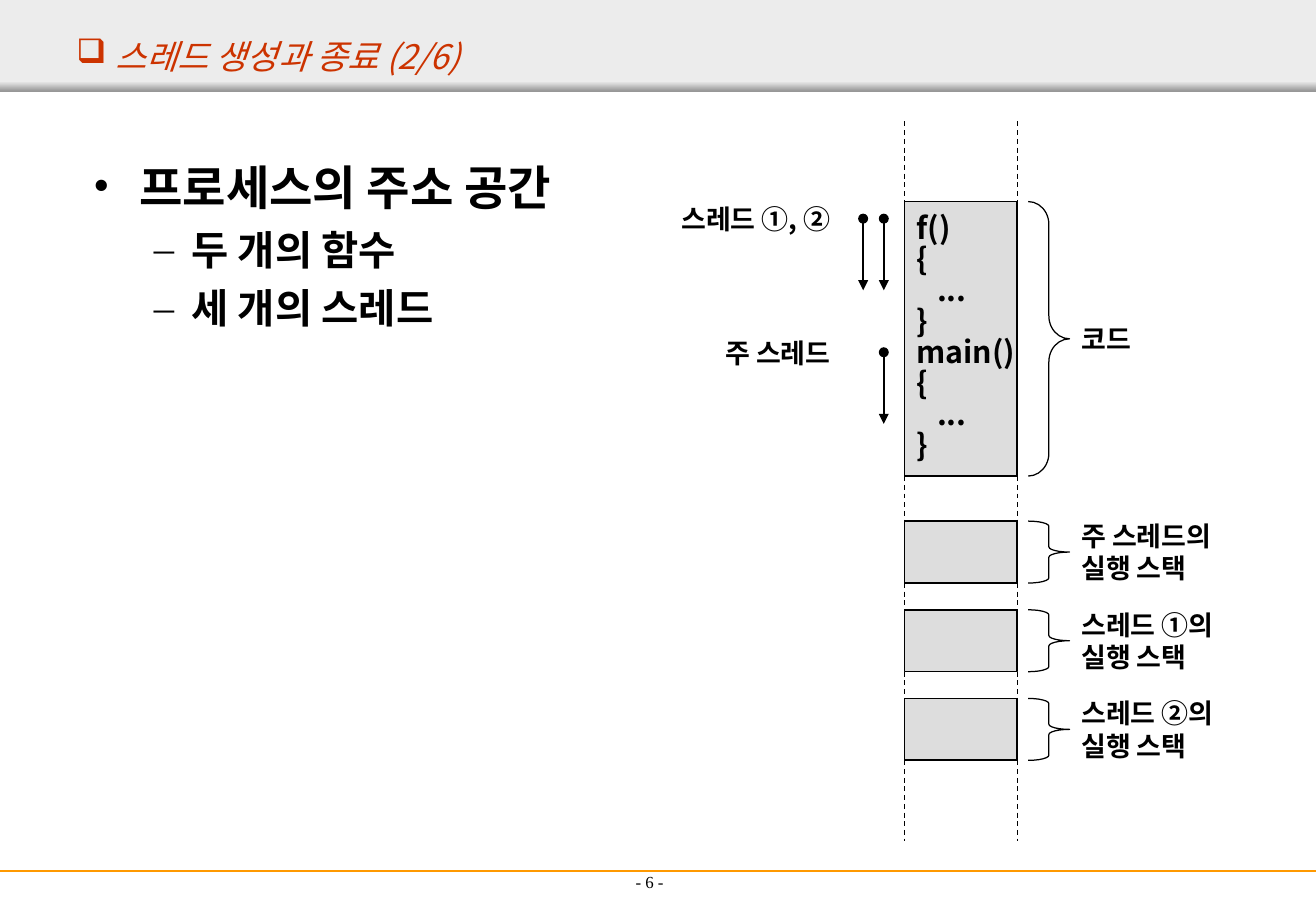
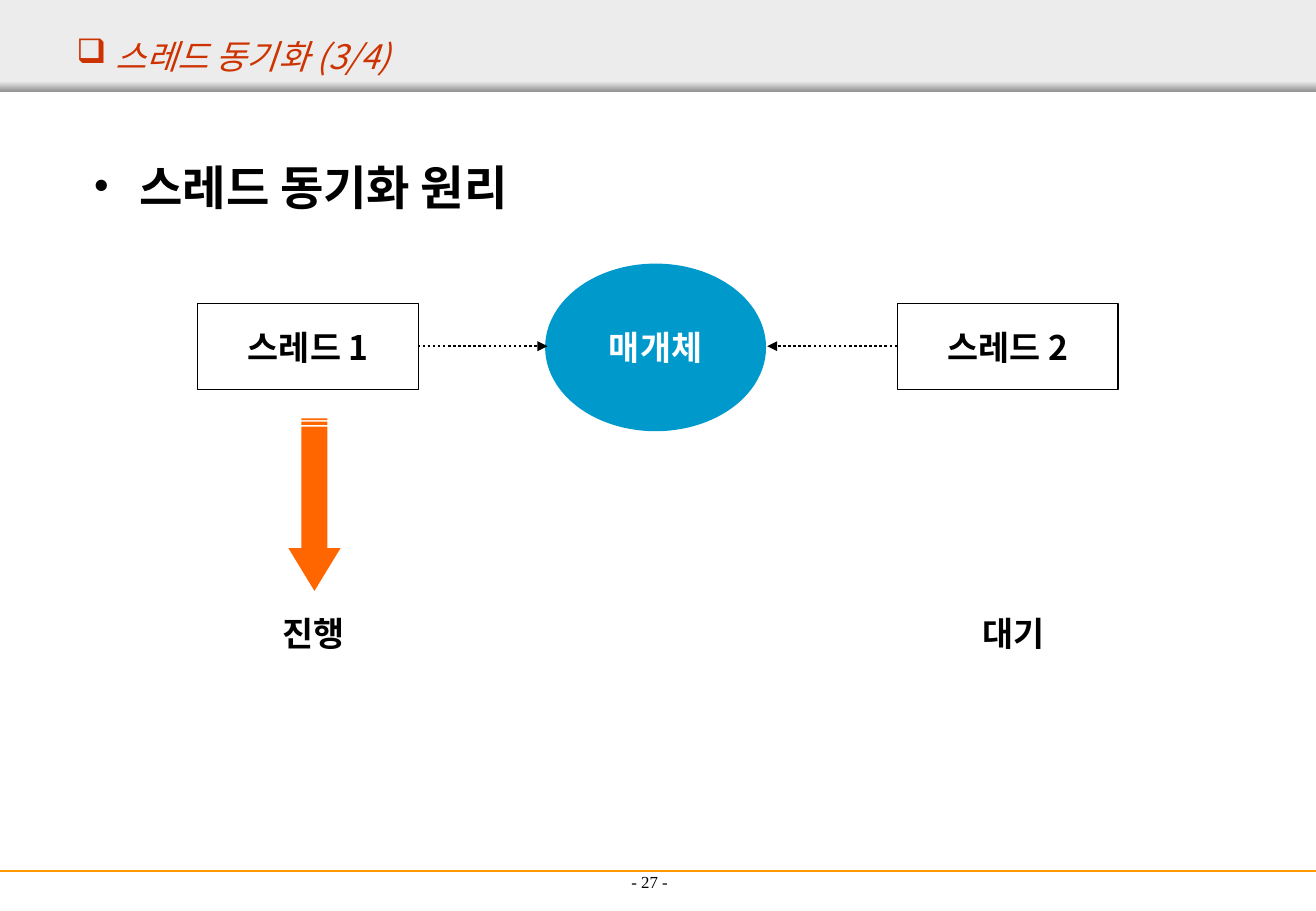
import pptx
import pptx.dml.color
import pptx.enum.dml
import pptx.enum.shapes
import pptx.enum.text
import pptx.oxml
import pptx.oxml.ns
import pptx.util

Inches = pptx.util.Inches
Pt = pptx.util.Pt
SHAPE = pptx.enum.shapes.MSO_SHAPE
ALIGN = pptx.enum.text.PP_ALIGN
ANCHOR = pptx.enum.text.MSO_ANCHOR
DASH = pptx.enum.dml.MSO_LINE

COLORS = {
    "black": "000000",
    "white": "FFFFFF",
    "title": "CC3300",
    "band": "ECECEC",
    "band_edge": "979797",
    "rule": "FF9900",
    "memory": "DDDDDD",
    "mediator": "0099CC",
    "progress": "FF6600",
}
SANS = "Noto Sans CJK KR"
SERIF = "Times New Roman"
WIDTH, HEIGHT = 10.84, 7.5

TITLE = {"size": Pt(20), "italic": True, "name": SANS}
FOOTER = {"size": Pt(10), "name": SERIF}
CODE = {"size": Pt(18), "bold": True, "name": SANS}
LABEL = {"size": Pt(16), "bold": True, "name": SANS}
NODE = {"size": Pt(20), "bold": True, "name": SANS}
BODY = [
    {"font": {"size": Pt(28), "bold": True, "name": SANS},
     "bullet": "•", "margin": 0.38, "hang": 0.38, "before": 0},
    {"font": {"size": Pt(24), "bold": True, "name": SANS},
     "bullet": "–", "margin": 0.81, "hang": 0.31, "before": 6},
]


def rgb(name):
    return pptx.dml.color.RGBColor.from_string(COLORS[name])


def apply(obj, fmt):
    for key, value in fmt.items():
        setattr(obj, key, value)


def add_xml(parent, tag, **attrs):
    el = pptx.oxml.parse_xml(f"<a:{tag} {pptx.oxml.ns.nsdecls('a')}/>")
    for key, value in attrs.items():
        el.set(key, str(value))
    parent.append(el)
    return el


def set_bullet(p, char, margin, hang, color, font=None):
    pPr = p._p.get_or_add_pPr()
    pPr.set("marL", str(Inches(margin)))
    pPr.set("indent", str(-Inches(hang)))
    add_xml(add_xml(pPr, "buClr"), "srgbClr", val=COLORS[color])
    if font:
        add_xml(pPr, "buFont", typeface=font)
    add_xml(pPr, "buChar", char=char)


def add_run(p, text, font, color):
    r = p.add_run()
    r.text = text
    apply(r.font, font)
    r.font.color.rgb = rgb(color)
    add_xml(r._r.get_or_add_rPr(), "ea", typeface=font["name"])


def set_text(sp, lines, font, color="black", align=ALIGN.CENTER,
             spacing=None, **frame):
    tf = sp.text_frame
    apply(tf, {"word_wrap": True, "vertical_anchor": ANCHOR.MIDDLE, **frame})
    for i, line in enumerate(lines):
        p = tf.add_paragraph() if i else tf.paragraphs[0]
        apply(p, {"alignment": align, "line_spacing": spacing})
        add_run(p, line, font, color)


def add_box(s, *at):
    return s.shapes.add_textbox(*map(Inches, at))


def add_label(s, at, lines, font, **options):
    sp = add_box(s, *at)
    set_text(sp, lines, font, **options)
    return sp


def add_shape(s, kind, at, fill=None, line=None, weight=0.75):
    sp = s.shapes.add_shape(kind, *map(Inches, at))
    sp.shadow.inherit = False
    if fill:
        sp.fill.solid()
        sp.fill.fore_color.rgb = rgb(fill)
    else:
        sp.fill.background()
    if line:
        sp.line.color.rgb = rgb(line)
        sp.line.width = Pt(weight)
    else:
        sp.line.fill.background()
    return sp


def add_line(s, start, end, weight, color="black", dash=None, head=None, tail=None):
    c = s.shapes.add_connector(pptx.enum.shapes.MSO_CONNECTOR.STRAIGHT,
                               *map(Inches, (*start, *end)))
    c.line.color.rgb = rgb(color)
    c.line.width = Pt(weight)
    if dash:
        c.line.dash_style = dash
    ln = c.line._get_or_add_ln()
    for tag, kind in (("headEnd", head), ("tailEnd", tail)):
        if kind:
            add_xml(ln, tag, type=kind)
    add_xml(c._element.spPr, "effectLst")


def add_brace(s, x, y, w, h):
    sp = add_shape(s, SHAPE.RIGHT_BRACE, (x, y, w, h), line="black")
    sp.adjustments[0] = h / 12 / min(w, h)


def add_body(s, items):
    tf = add_box(s, 0.67, 1.25, 9.5, 5.44).text_frame
    tf.word_wrap = True
    for i, (level, text) in enumerate(items):
        style = BODY[level]
        p = tf.add_paragraph() if i else tf.paragraphs[0]
        set_bullet(p, style["bullet"], style["margin"], style["hang"], "black", SERIF)
        apply(p, {"level": level, "space_before": Pt(style["before"])})
        add_run(p, text, style["font"], "black")


def add_slide(prs, title, number):
    s = prs.slides.add_slide(prs.slide_layouts[6])
    add_shape(s, SHAPE.RECTANGLE, (0, 0, WIDTH, 0.75), "band")
    edge = add_shape(s, SHAPE.RECTANGLE, (0, 0.67, WIDTH, 0.08))
    edge.fill.gradient()
    edge.fill.gradient_angle = 270
    for stop, color in zip(edge.fill.gradient_stops, ("band", "band_edge")):
        stop.color.rgb = rgb(color)
    add_line(s, (0, 7.17), (WIDTH, 7.17), 1.5, "rule")
    add_label(s, (3.69, 6.89, 3.32, 0.5), [f"- {number} -"], FOOTER,
              vertical_anchor=ANCHOR.BOTTOM)
    sp = add_label(s, (0.53, 0.25, 10.31, 0.42), [title], TITLE,
                   color="title", align=ALIGN.LEFT)
    set_bullet(sp.text_frame.paragraphs[0], "❑", 0.32, 0.32, "title")
    return s


def build_address_space(prs):
    s = add_slide(prs, "스레드 생성과 종료 (2/6)", 6)
    add_body(s, [(0, "프로세스의 주소 공간"), (1, "두 개의 함수"), (1, "세 개의 스레드")])

    left, width = 7.45, 0.93
    code = ["f()", "{", "   ...", "}", "main()", "{", "   ...", "}"]
    owners = ["주 스레드의", "스레드 ①의", "스레드 ②의"]
    blocks = [(1.66, 2.26, ["코드"], code)]
    blocks += [(4.29 + 0.73 * i, 0.51, [owner, "실행 스택"], [])
               for i, owner in enumerate(owners)]

    gap_top = 1
    for top, height, label, content in blocks:
        sp = add_shape(s, SHAPE.RECTANGLE, (left, top, width, height),
                       "memory", "black", 1)
        if content:
            set_text(sp, content, CODE, align=ALIGN.LEFT, spacing=0.85,
                     word_wrap=False, margin_right=0)
        add_brace(s, 8.47, top, 0.34, height)
        add_label(s, (8.81, top + height / 2 - 0.33, 1.44, 0.66), label, LABEL,
                  align=ALIGN.LEFT, margin_right=0)
        add_rails(s, left, width, gap_top, top)
        gap_top = top + height
    add_rails(s, left, width, gap_top, 6.92)

    for y, name, arrows in ((1.8, "스레드 ①, ②", (7.11, 7.28)),
                            (2.9, "주 스레드", (7.28,))):
        add_label(s, (5.5, y - 0.29, 1.44, 0.58), [name], LABEL,
                  align=ALIGN.RIGHT, margin_left=0)
        for x in arrows:
            add_line(s, (x, y), (x, y + 0.59), 1.5, head="oval", tail="triangle")


def add_rails(s, left, width, top, bottom):
    for x in (left, left + width):
        add_line(s, (x, top), (x, bottom), 0.75, dash=DASH.DASH)


def build_synchronization(prs):
    s = add_slide(prs, "스레드 동기화 (3/4)", 27)
    add_body(s, [(0, "스레드 동기화 원리")])

    sp = add_shape(s, SHAPE.OVAL, (4.49, 2.17, 1.82, 1.38), "mediator")
    set_text(sp, ["매개체"], NODE, color="white")
    for name, state, x, start, end in (
        ("스레드 1", "진행", 1.63, 3.44, 4.51),
        ("스레드 2", "대기", 7.39, 7.39, 6.32),
    ):
        sp = add_shape(s, SHAPE.RECTANGLE, (x, 2.5, 1.82, 0.71), line="black")
        set_text(sp, [name], NODE)
        add_line(s, (start, 2.85), (end, 2.85), 1.5,
                 dash=DASH.ROUND_DOT, tail="triangle")
        add_label(s, (x + 0.1, 4.86, 1.71, 0.71), [state], NODE)

    arrow = add_shape(s, SHAPE.STRIPED_RIGHT_ARROW, (1.88, 3.94, 1.42, 0.43), "progress")
    arrow.rotation = 90
    arrow.adjustments[0] = 0.5
    arrow.adjustments[1] = 0.82


def main():
    prs = pptx.Presentation()
    prs.slide_width, prs.slide_height = Inches(WIDTH), Inches(HEIGHT)
    build_address_space(prs)
    build_synchronization(prs)
    prs.save("out.pptx")


if __name__ == "__main__":
    main()
